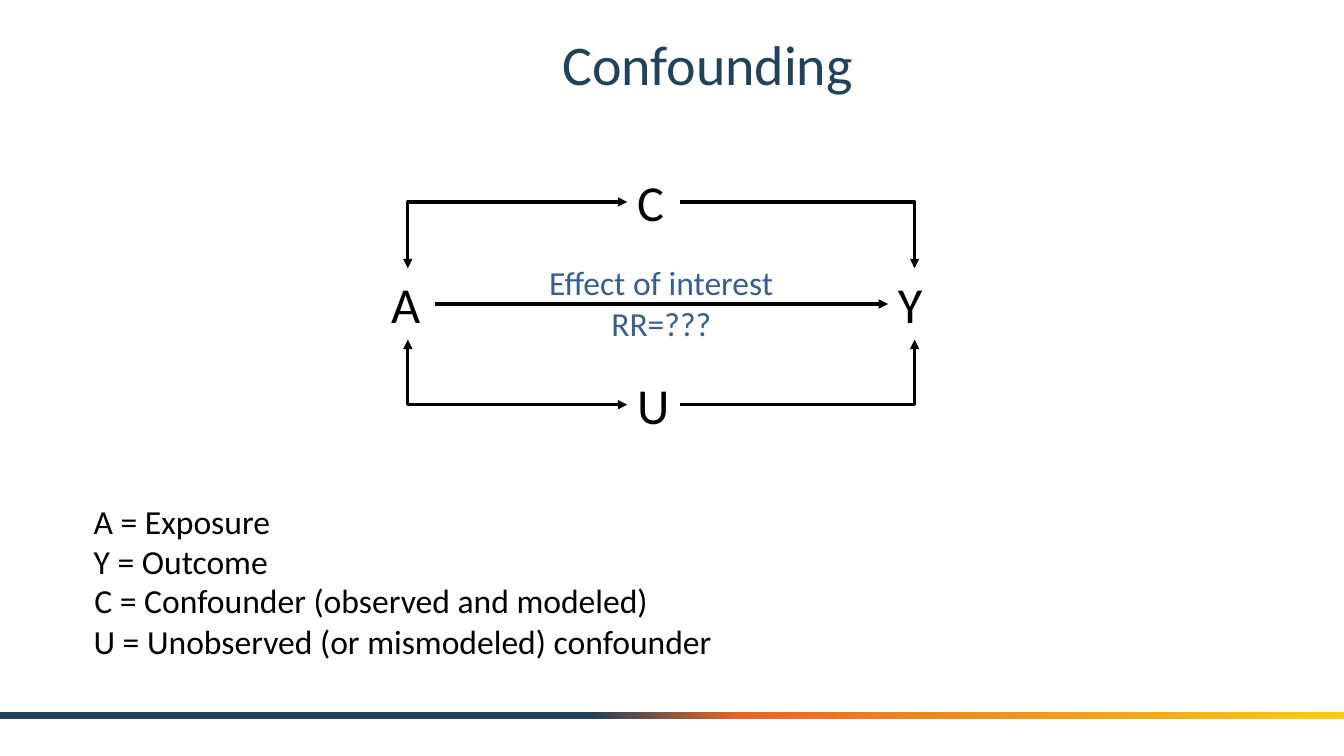
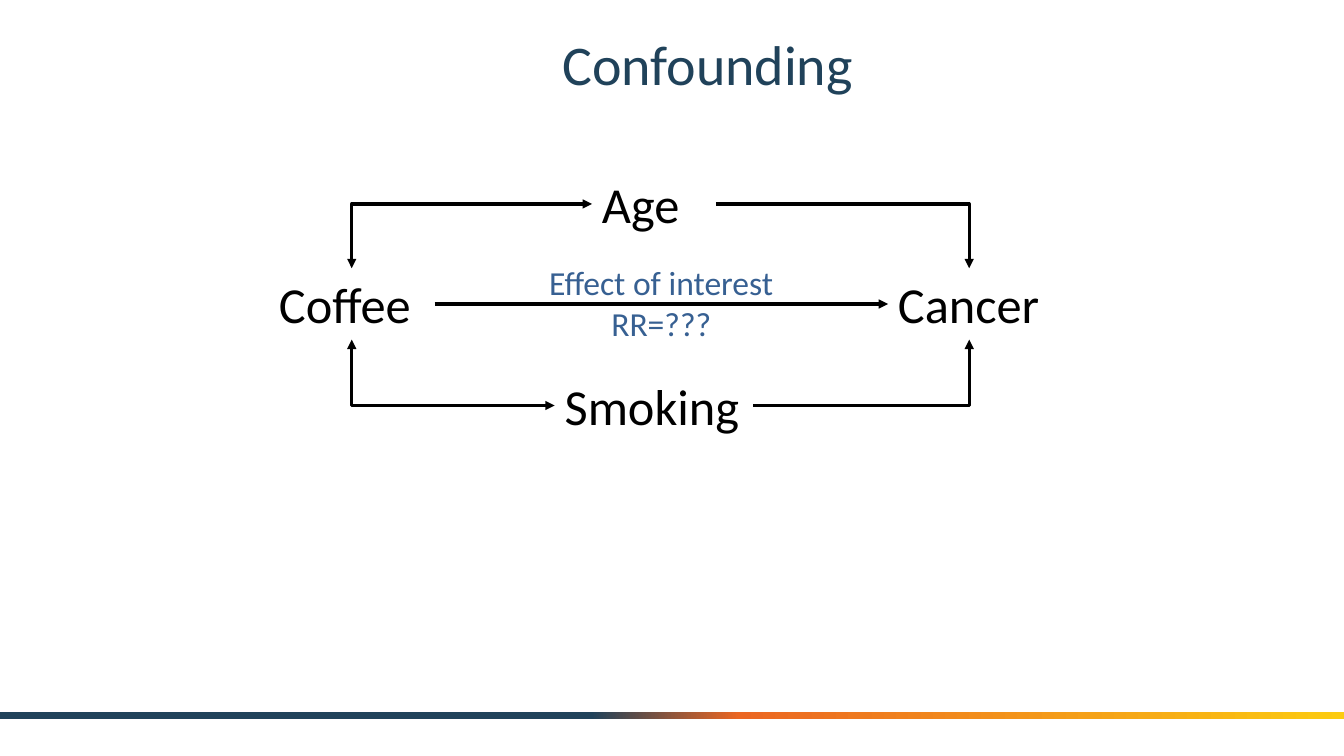
import copy
from dataclasses import dataclass

import pptx
import pptx.dml.color
import pptx.enum.shapes
import pptx.enum.text
import pptx.oxml
import pptx.oxml.ns
import pptx.util
from pptx.shapes.autoshape import Shape
from pptx.slide import Slide

Cm = pptx.util.Cm
Pt = pptx.util.Pt
ALIGN = pptx.enum.text.PP_ALIGN
ANCHOR = pptx.enum.text.MSO_ANCHOR
AUTO_SIZE = pptx.enum.text.MSO_AUTO_SIZE
CONNECTOR = pptx.enum.shapes.MSO_CONNECTOR

COLORS = {
    "navy": "20425A",
    "orange": "EB6622",
    "yellow": "FCCB10",
    "blue": "376092",
    "black": "000000",
}
BAND_STOPS = ((0.44, "navy"), (0.55, "orange"), (1.0, "yellow"))
SLIDE_WIDTH, SLIDE_HEIGHT = 33.87, 19.05
TOP, LEFT, BOTTOM, RIGHT = range(4)

NODE_HEIGHT = 1.8
MIDDLE_ROW = 6.76
EXPOSURE_RIGHT = 10.95
OUTCOME_LEFT = 22.38
CENTER_X = 16.48


@dataclass(frozen=True)
class TextStyle:
    size: int
    color: str
    align: ALIGN = ALIGN.LEFT
    anchor: ANCHOR = ANCHOR.TOP
    auto_size: AUTO_SIZE = AUTO_SIZE.SHAPE_TO_FIT_TEXT
    wrap: bool = True


@dataclass(frozen=True)
class Box:
    left: float
    top: float
    width: float
    height: float


@dataclass(frozen=True)
class Node:
    text: str
    width: float


@dataclass(frozen=True)
class Diagram:
    exposure: Node
    outcome: Node
    upper: Node
    lower: Node
    upper_top: float
    lower_top: float


@dataclass(frozen=True)
class LegendEntry:
    lines: tuple[str, ...]
    box: Box


TITLE_STYLE = TextStyle(40, "navy", ALIGN.CENTER, ANCHOR.MIDDLE, AUTO_SIZE.NONE)
NODE_STYLE = TextStyle(36, "black")
EFFECT_STYLE = TextStyle(24, "blue", ALIGN.CENTER)
LEGEND_STYLE = TextStyle(24, "black", wrap=False)

SYMBOLS = Diagram(
    Node("A", 1.34), Node("Y", 1.34), Node("C", 1.34), Node("U", 1.34), 4.19, 9.3
)
EXAMPLE = Diagram(
    Node("Coffee", 4.17), Node("Cancer", 4.09), Node("Age", 3.12),
    Node("Smoking", 5.0), 4.24, 9.32,
)
LEGEND = (
    LegendEntry(("A = Exposure", "Y = Outcome"), Box(2.11, 12.5, 5.0, 2.31)),
    LegendEntry(("C = Confounder (observed and modeled)",),
                Box(2.13, 14.48, 14.6, 1.27)),
    LegendEntry(("U = Unobserved (or mismodeled) confounder",),
                Box(2.11, 15.52, 16.23, 1.27)),
)


def rgb(color: str) -> pptx.dml.color.RGBColor:
    return pptx.dml.color.RGBColor.from_string(COLORS[color])


def lengths(box: Box) -> tuple[int, ...]:
    return tuple(Cm(v) for v in (box.left, box.top, box.width, box.height))


def add_text(slide: Slide, lines: tuple[str, ...], box: Box, style: TextStyle) -> Shape:
    label = slide.shapes.add_textbox(*lengths(box))
    frame = label.text_frame
    frame_format = {
        "word_wrap": style.wrap,
        "auto_size": style.auto_size,
        "vertical_anchor": style.anchor,
    }
    for name, value in frame_format.items():
        setattr(frame, name, value)
    font_format = {"name": "Calibri", "size": Pt(style.size)}
    for index, line in enumerate(lines):
        paragraph = frame.add_paragraph() if index else frame.paragraphs[0]
        paragraph.alignment = style.align
        run = paragraph.add_run()
        run.text = line
        for name, value in font_format.items():
            setattr(run.font, name, value)
        run.font.color.rgb = rgb(style.color)
    return label


def add_band(slide: Slide) -> None:
    band = slide.shapes.add_shape(
        pptx.enum.shapes.MSO_SHAPE.RECTANGLE,
        *lengths(Box(0, 17.93, SLIDE_WIDTH, 0.2)),
    )
    band.shadow.inherit = False
    band.line.fill.background()
    band.fill.gradient()
    band.fill.gradient_angle = 0
    stop_list = band.element.spPr.find(".//" + pptx.oxml.ns.qn("a:gsLst"))
    stop_list.append(copy.deepcopy(stop_list[-1]))
    for stop, (position, color) in zip(band.fill.gradient_stops, BAND_STOPS):
        stop.position = position
        stop.color.rgb = rgb(color)


def add_arrow(
    slide: Slide, start: Shape, start_site: int, end: Shape, end_site: int,
    bent: bool = True, both_ends: bool = False,
) -> None:
    kind = CONNECTOR.ELBOW if bent else CONNECTOR.STRAIGHT
    arrow = slide.shapes.add_connector(kind, 0, 0, 0, 0)
    arrow.begin_connect(start, start_site)
    arrow.end_connect(end, end_site)
    arrow.line.width = Pt(2.25)
    arrow.line.color.rgb = rgb("black")
    properties = arrow.element.spPr
    if bent:
        geometry = properties.find(pptx.oxml.ns.qn("a:prstGeom"))
        geometry.set("prst", "bentConnector2")
    outline = properties.find(pptx.oxml.ns.qn("a:ln"))
    for tag in ("headEnd", "tailEnd") if both_ends else ("tailEnd",):
        outline.append(pptx.oxml.parse_xml(
            f'<a:{tag} {pptx.oxml.ns.nsdecls("a")} type="triangle"/>'
        ))
    properties.append(pptx.oxml.parse_xml(
        f'<a:effectLst {pptx.oxml.ns.nsdecls("a")}/>'
    ))


def add_node(slide: Slide, node: Node, left: float, top: float) -> Shape:
    box = Box(left, top, node.width, NODE_HEIGHT)
    return add_text(slide, (node.text,), box, NODE_STYLE)


def add_diagram(slide: Slide, diagram: Diagram) -> None:
    exposure = add_node(
        slide, diagram.exposure, EXPOSURE_RIGHT - diagram.exposure.width, MIDDLE_ROW
    )
    outcome = add_node(slide, diagram.outcome, OUTCOME_LEFT, MIDDLE_ROW)
    add_arrow(slide, exposure, RIGHT, outcome, LEFT, bent=False)
    add_text(
        slide, ("Effect of interest", "RR=???"),
        Box(13.16, 6.48, 7.01, 2.31), EFFECT_STYLE,
    )
    for node, top, site in (
        (diagram.upper, diagram.upper_top, TOP),
        (diagram.lower, diagram.lower_top, BOTTOM),
    ):
        confounder = add_node(slide, node, CENTER_X - node.width / 2, top)
        add_arrow(slide, confounder, RIGHT, outcome, site)
        add_arrow(slide, confounder, LEFT, exposure, site, both_ends=True)


def add_confounding_slide(
    deck, diagram: Diagram, legend: tuple[LegendEntry, ...] = ()
) -> None:
    slide = deck.slides.add_slide(deck.slide_layouts[6])
    add_band(slide)
    add_text(slide, ("Confounding",), Box(3.48, 0.43, 28.7, 2.34), TITLE_STYLE)
    add_diagram(slide, diagram)
    for entry in legend:
        add_text(slide, entry.lines, entry.box, LEGEND_STYLE)


def main() -> None:
    deck = pptx.Presentation()
    deck.slide_width = Cm(SLIDE_WIDTH)
    deck.slide_height = Cm(SLIDE_HEIGHT)
    add_confounding_slide(deck, SYMBOLS, LEGEND)
    add_confounding_slide(deck, EXAMPLE)
    deck.save("out.pptx")


if __name__ == "__main__":
    main()
